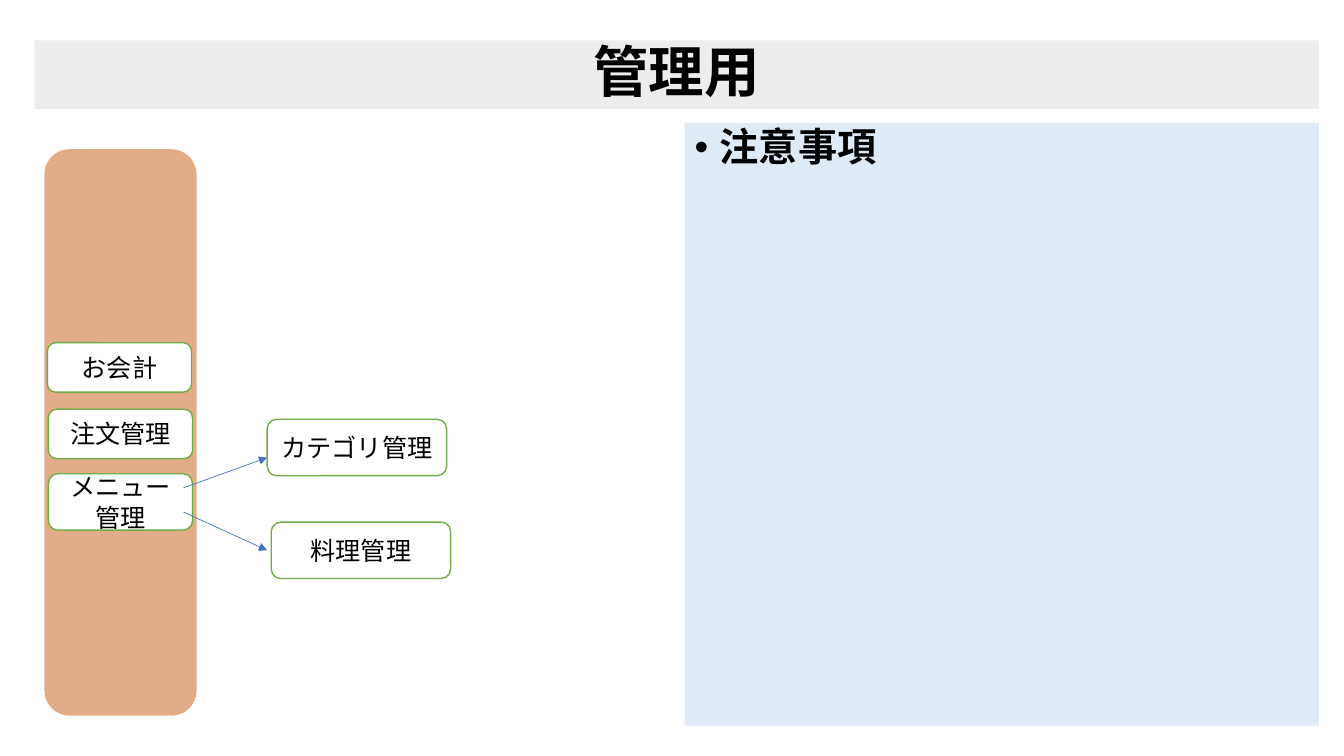
from lxml.etree import SubElement
from pptx import Presentation
from pptx.dml.color import RGBColor
from pptx.enum.shapes import MSO_CONNECTOR, MSO_SHAPE
from pptx.enum.text import MSO_ANCHOR, PP_ALIGN
from pptx.oxml.ns import qn
from pptx.util import Inches, Pt

FONT = "Noto Sans CJK JP"
BLACK = RGBColor(0x00, 0x00, 0x00)
WHITE = RGBColor(0xFF, 0xFF, 0xFF)
GRAY = RGBColor(0xED, 0xED, 0xED)
PALE_BLUE = RGBColor(0xDE, 0xEB, 0xF7)
BROWN = RGBColor(0xC5, 0x5A, 0x11)
GREEN = RGBColor(0x70, 0xAD, 0x47)
BLUE = RGBColor(0x44, 0x72, 0xC4)

TITLE = ("管理用", (0.34, 0.4, 12.74, 0.68))
NOTES = ("注意事項", (6.79, 1.22, 6.29, 5.98))
SIDEBAR = (0.44, 1.48, 1.51, 5.62)
MENU_BUTTONS = [
    ("お会計", (0.47, 3.4, 1.43, 0.49)),
    ("メニュー管理", (0.48, 4.7, 1.43, 0.56)),
    ("注文管理", (0.48, 4.06, 1.43, 0.49)),
]
SUBMENU_BUTTONS = [
    ("カテゴリ管理", (2.65, 4.16, 1.78, 0.56)),
    ("料理管理", (2.69, 5.18, 1.78, 0.56)),
]
ARROWS = [
    ((1.82, 4.84), (2.65, 4.54)),
    ((1.82, 5.08), (2.65, 5.46)),
]


def add_panel(slide, preset, box, fill, outline=None):
    panel = slide.shapes.add_shape(preset, *map(Inches, box))
    panel.shadow.inherit = False
    panel.fill.solid()
    panel.fill.fore_color.rgb = fill
    if outline is None:
        panel.line.fill.background()
    else:
        panel.line.color.rgb = outline
        panel.line.width = Pt(1)
    return panel


def write(panel, text, size=18, bold=False, align=PP_ALIGN.CENTER,
          anchor=MSO_ANCHOR.MIDDLE, spacing=1.0, bullet=None):
    frame = panel.text_frame
    frame.word_wrap = True
    frame.vertical_anchor = anchor
    paragraph = frame.paragraphs[0]
    paragraph.alignment = align
    paragraph.line_spacing = spacing
    if bullet:
        properties = paragraph._p.get_or_add_pPr()
        properties.set("marL", str(Inches(0.25)))
        properties.set("indent", str(Inches(-0.25)))
        SubElement(properties, qn("a:buFont"), typeface="Arial")
        SubElement(properties, qn("a:buChar"), char=bullet)
    run = paragraph.add_run()
    run.text = text
    run.font.size = Pt(size)
    run.font.bold = bold
    run.font.color.rgb = BLACK
    run.font.name = FONT
    SubElement(run._r.get_or_add_rPr(), qn("a:ea"), typeface=FONT)


def add_button(slide, label, box):
    write(add_panel(slide, MSO_SHAPE.ROUNDED_RECTANGLE, box, WHITE, GREEN), label)


def add_arrow(slide, start, end):
    arrow = slide.shapes.add_connector(
        MSO_CONNECTOR.STRAIGHT, *map(Inches, start + end))
    arrow.line.color.rgb = BLUE
    arrow.line.width = Pt(0.5)
    SubElement(arrow.line._get_or_add_ln(), qn("a:tailEnd"), type="triangle")
    SubElement(arrow._element.spPr, qn("a:effectLst"))


def main():
    presentation = Presentation()
    presentation.slide_width = Inches(13.33)
    presentation.slide_height = Inches(7.5)
    slide = presentation.slides.add_slide(presentation.slide_layouts[6])

    title, title_box = TITLE
    write(add_panel(slide, MSO_SHAPE.RECTANGLE, title_box, GRAY), title,
          size=39.6, bold=True, spacing=0.9)
    heading, notes_box = NOTES
    write(add_panel(slide, MSO_SHAPE.RECTANGLE, notes_box, PALE_BLUE), heading,
          size=28, bold=True, align=PP_ALIGN.LEFT, anchor=MSO_ANCHOR.TOP,
          spacing=0.9, bullet="•")

    sidebar = add_panel(slide, MSO_SHAPE.ROUNDED_RECTANGLE, SIDEBAR, BROWN)
    color = sidebar._element.spPr.find(qn("a:solidFill")).find(qn("a:srgbClr"))
    SubElement(color, qn("a:alpha"), val="50000")

    for label, box in MENU_BUTTONS:
        add_button(slide, label, box)
    for start, end in ARROWS:
        add_arrow(slide, start, end)
    for label, box in SUBMENU_BUTTONS:
        add_button(slide, label, box)

    presentation.save("out.pptx")


if __name__ == "__main__":
    main()
